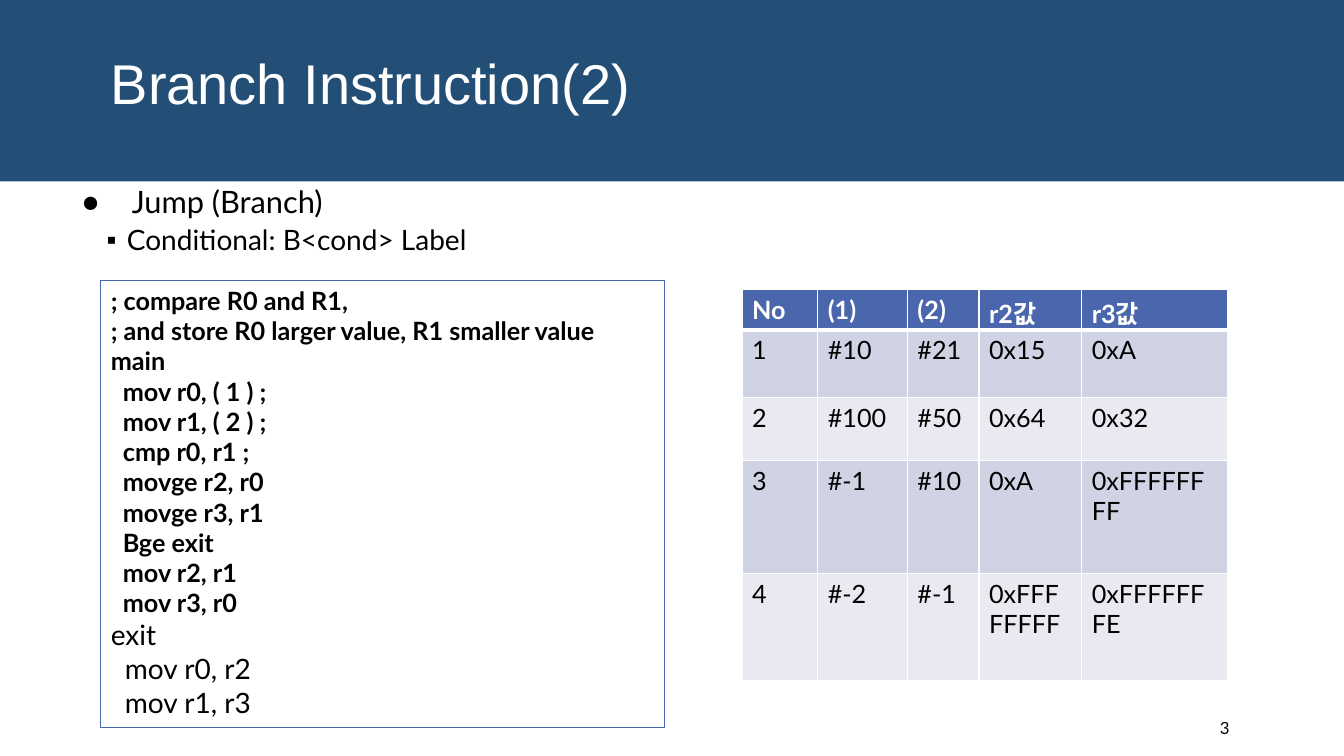
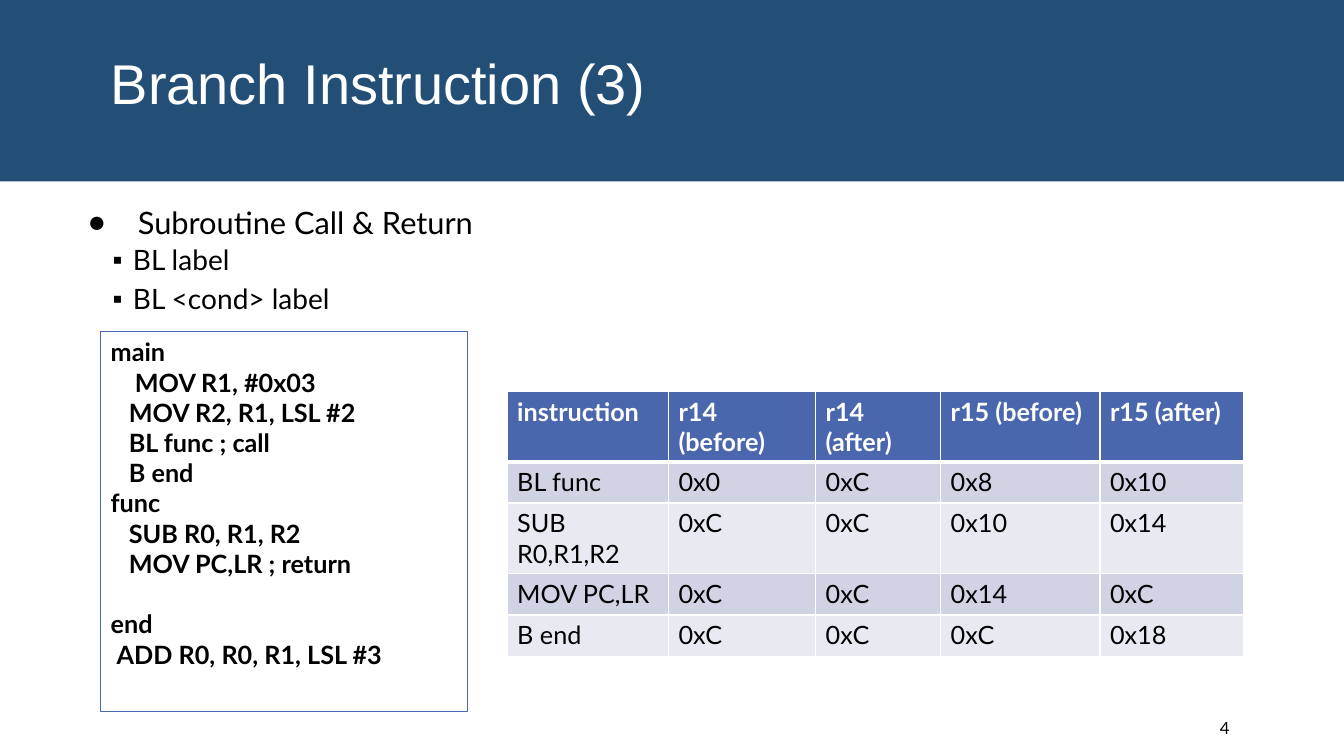
"""Build two lecture slides on branch instructions."""
from dataclasses import dataclass

import lxml.etree
import pptx
import pptx.dml.color
import pptx.enum.shapes
import pptx.enum.text
import pptx.oxml.ns
import pptx.util

Inches = pptx.util.Inches
Pt = pptx.util.Pt
qn = pptx.oxml.ns.qn
TOP = pptx.enum.text.MSO_ANCHOR.TOP
MIDDLE = pptx.enum.text.MSO_ANCHOR.MIDDLE

COLORS = {
    "band": "234F77",
    "accent": "4A66AC",
    "odd_row": "D0D3E3",
    "even_row": "E9EAF1",
    "light": "FFFFFF",
    "ink": "000000",
}

FONTS = {
    "title": {"name": "Arial", "size": Pt(40), "bold": False},
    "topic": {"name": "Lato", "size": Pt(22), "bold": False},
    "detail": {"name": "Lato", "size": Pt(20), "bold": False},
    "code": {"name": "Lato", "size": Pt(18), "bold": True},
    "closing": {"name": "Lato", "size": Pt(20), "bold": False},
    "header": {"name": "Lato", "size": Pt(18), "bold": True},
    "cell": {"name": "Lato", "size": Pt(18), "bold": False},
    "number": {"name": "Lato", "size": Pt(12), "bold": False},
}

SPACING = {
    "title": {"line_spacing": 0.85},
    "topic": {"line_spacing": 0.9, "space_before": Pt(12), "space_after": Pt(2)},
    "detail": {"line_spacing": 0.9, "space_before": Pt(2), "space_after": Pt(4)},
}


@dataclass(frozen=True)
class Box:
    left: float
    top: float
    width: float
    height: float

    def lengths(self) -> tuple:
        return tuple(Inches(v) for v in (self.left, self.top, self.width, self.height))


@dataclass(frozen=True)
class Bullet:
    symbol: str
    level: int
    margin: float
    hanging: float


@dataclass(frozen=True)
class CodeLine:
    text: str
    indent: float = 0
    style: str = "code"
    gap: float = 0


@dataclass(frozen=True)
class Grid:
    box: Box
    widths: tuple
    heights: tuple
    rows: tuple


@dataclass(frozen=True)
class Lesson:
    title: str
    number: str
    outline_box: Box
    topic: str
    details: tuple
    code_box: Box
    code: tuple
    grid: Grid


BULLETS = {
    "topic": Bullet("●", 0, 0.5, -0.5),
    "detail": Bullet("▪", 1, 0.45, -0.2),
}
BAND_BOX = Box(0, 0, 13.33, 1.8)
TITLE_BOX = Box(1, 0.31, 11.33, 1.11)
NUMBER_BOX = Box(12.05, 7.02, 1.03, 0.4)

LESSONS = (
    Lesson(
        title="Branch Instruction(2)",
        number="3",
        outline_box=Box(0.71, 1.81, 11.33, 0.9),
        topic="Jump (Branch)",
        details=("Conditional: B<cond> Label",),
        code_box=Box(1, 2.78, 5.59, 4.44),
        code=(
            CodeLine("; compare R0 and R1,"),
            CodeLine("; and store R0 larger value, R1 smaller value"),
            CodeLine("main"),
            CodeLine("mov r0, ( 1 ) ;", 0.12),
            CodeLine("mov r1, ( 2 ) ;", 0.12),
            CodeLine("cmp r0, r1 ;", 0.12),
            CodeLine("movge r2, r0", 0.12),
            CodeLine("movge r3, r1", 0.12),
            CodeLine("Bge exit", 0.12),
            CodeLine("mov r2, r1", 0.12),
            CodeLine("mov r3, r0", 0.12),
            CodeLine("exit", style="closing"),
            CodeLine("mov r0, r2", 0.14, "closing"),
            CodeLine("mov r1, r3", 0.14, "closing"),
        ),
        grid=Grid(
            Box(7.36, 2.87, 4.82, 3.88),
            (0.75, 0.89, 0.71, 1.02, 1.45),
            (0.35, 0.67, 0.63, 1.12, 1.06),
            (
                ("No", "(1)", "(2)", "r2값", "r3값"),
                ("1", "#10", "#21", "0x15", "0xA"),
                ("2", "#100", "#50", "0x64", "0x32"),
                ("3", "#-1", "#10", "0xA", "0xFFFFFFFF"),
                ("4", "#-2", "#-1", "0xFFFFFFFF", "0xFFFFFFFE"),
            ),
        ),
    ),
    Lesson(
        title="Branch Instruction (3)",
        number="4",
        outline_box=Box(0.77, 2.01, 5.54, 1.2),
        topic="Subroutine Call & Return",
        details=("BL label", "BL <cond> label"),
        code_box=Box(1, 3.29, 3.64, 3.77),
        code=(
            CodeLine("main"),
            CodeLine("MOV R1, #0x03", 0.24),
            CodeLine("MOV R2, R1, LSL #2", 0.18),
            CodeLine("BL func ; call", 0.18),
            CodeLine("B end", 0.18),
            CodeLine("func"),
            CodeLine("SUB R0, R1, R2", 0.18),
            CodeLine("MOV PC,LR ; return", 0.18),
            CodeLine("end", gap=21.6),
            CodeLine("ADD R0, R0, R1, LSL #3", 0.06),
        ),
        grid=Grid(
            Box(5.03, 3.88, 7.3, 2.62),
            (1.6, 1.46, 1.24, 1.58, 1.42),
            (0.41,) * 5,
            (
                ("instruction", "r14 (before)", "r14 (after)", "r15 (before)", "r15 (after)"),
                ("BL func", "0x0", "0xC", "0x8", "0x10"),
                ("SUB R0,R1,R2", "0xC", "0xC", "0x10", "0x14"),
                ("MOV PC,LR", "0xC", "0xC", "0x14", "0xC"),
                ("B end", "0xC", "0xC", "0xC", "0x18"),
            ),
        ),
    ),
)


def rgb(color: str) -> pptx.dml.color.RGBColor:
    return pptx.dml.color.RGBColor.from_string(COLORS[color])


def apply(target, values: dict) -> None:
    for attribute, value in values.items():
        setattr(target, attribute, value)


def write(paragraph, text: str, style: str, color: str = "ink") -> None:
    paragraph.alignment = pptx.enum.text.PP_ALIGN.LEFT
    apply(paragraph, SPACING.get(style, {}))
    run = paragraph.add_run()
    run.text = text
    apply(run.font, FONTS[style])
    run.font.color.rgb = rgb(color)


def next_paragraph(frame, index: int):
    return frame.add_paragraph() if index else frame.paragraphs[0]


def add_text_frame(slide, box: Box, anchor=TOP):
    frame = slide.shapes.add_textbox(*box.lengths()).text_frame
    apply(frame, {"word_wrap": True, "vertical_anchor": anchor})
    return frame


def add_panel(slide, box: Box, fill: str):
    panel = slide.shapes.add_shape(pptx.enum.shapes.MSO_SHAPE.RECTANGLE, *box.lengths())
    panel.shadow.inherit = False
    panel.fill.solid()
    panel.fill.fore_color.rgb = rgb(fill)
    panel.line.fill.background()
    return panel


def add_bullet(paragraph, bullet: Bullet) -> None:
    paragraph.level = bullet.level
    properties = paragraph._p.get_or_add_pPr()
    properties.set("marL", str(Inches(bullet.margin)))
    properties.set("indent", str(Inches(bullet.hanging)))
    tint = lxml.etree.SubElement(properties, qn("a:buClr"))
    lxml.etree.SubElement(tint, qn("a:srgbClr"), val=COLORS["ink"])
    lxml.etree.SubElement(properties, qn("a:buFont"), typeface="Arial")
    lxml.etree.SubElement(properties, qn("a:buChar"), char=bullet.symbol)


def add_frame(slide, title: str, number: str) -> None:
    add_panel(slide, BAND_BOX, "band")
    heading = add_text_frame(slide, TITLE_BOX, MIDDLE)
    write(heading.paragraphs[0], title, "title", "light")
    footer = add_text_frame(slide, NUMBER_BOX, MIDDLE)
    footer.margin_left = Inches(0.05)
    write(footer.paragraphs[0], number, "number")


def add_outline(slide, lesson: Lesson) -> None:
    frame = add_text_frame(slide, lesson.outline_box)
    entries = [("topic", lesson.topic)] + [("detail", text) for text in lesson.details]
    for index, (style, text) in enumerate(entries):
        paragraph = next_paragraph(frame, index)
        write(paragraph, text, style)
        add_bullet(paragraph, BULLETS[style])


def add_code(slide, box: Box, lines: tuple) -> None:
    listing = add_panel(slide, box, "light")
    listing.line.color.rgb = rgb("accent")
    listing.line.width = Pt(0.75)
    frame = listing.text_frame
    apply(frame, {"word_wrap": True, "vertical_anchor": TOP})
    for index, line in enumerate(lines):
        paragraph = next_paragraph(frame, index)
        write(paragraph, line.text, line.style)
        paragraph.space_before = Pt(line.gap)
        paragraph._p.get_or_add_pPr().set("marL", str(Inches(line.indent)))


def add_borders(cell, row: int) -> None:
    points = {"L": 1, "R": 1, "T": 3 if row == 1 else 1, "B": 3 if row == 0 else 1}
    properties = cell._tc.get_or_add_tcPr()
    for position, (side, width) in enumerate(points.items()):
        border = lxml.etree.Element(qn(f"a:ln{side}"), w=str(Pt(width)))
        paint = lxml.etree.SubElement(border, qn("a:solidFill"))
        lxml.etree.SubElement(paint, qn("a:srgbClr"), val=COLORS["light"])
        properties.insert(position, border)


def add_grid(slide, grid: Grid) -> None:
    size = len(grid.heights), len(grid.widths)
    table = slide.shapes.add_table(*size, *grid.box.lengths()).table
    for column, width in zip(table.columns, grid.widths):
        column.width = Inches(width)
    for row, height in zip(table.rows, grid.heights):
        row.height = Inches(height)
    for r, values in enumerate(grid.rows):
        fill = "accent" if r == 0 else "odd_row" if r % 2 else "even_row"
        style, color = ("cell", "ink") if r else ("header", "light")
        for c, value in enumerate(values):
            cell = table.cell(r, c)
            cell.fill.solid()
            cell.fill.fore_color.rgb = rgb(fill)
            add_borders(cell, r)
            write(cell.text_frame.paragraphs[0], value, style, color)


def main() -> None:
    deck = pptx.Presentation()
    apply(deck, {"slide_width": Inches(13.33), "slide_height": Inches(7.5)})
    for lesson in LESSONS:
        slide = deck.slides.add_slide(deck.slide_layouts[6])
        add_frame(slide, lesson.title, lesson.number)
        add_outline(slide, lesson)
        add_code(slide, lesson.code_box, lesson.code)
        add_grid(slide, lesson.grid)
    deck.save("out.pptx")


if __name__ == "__main__":
    main()
